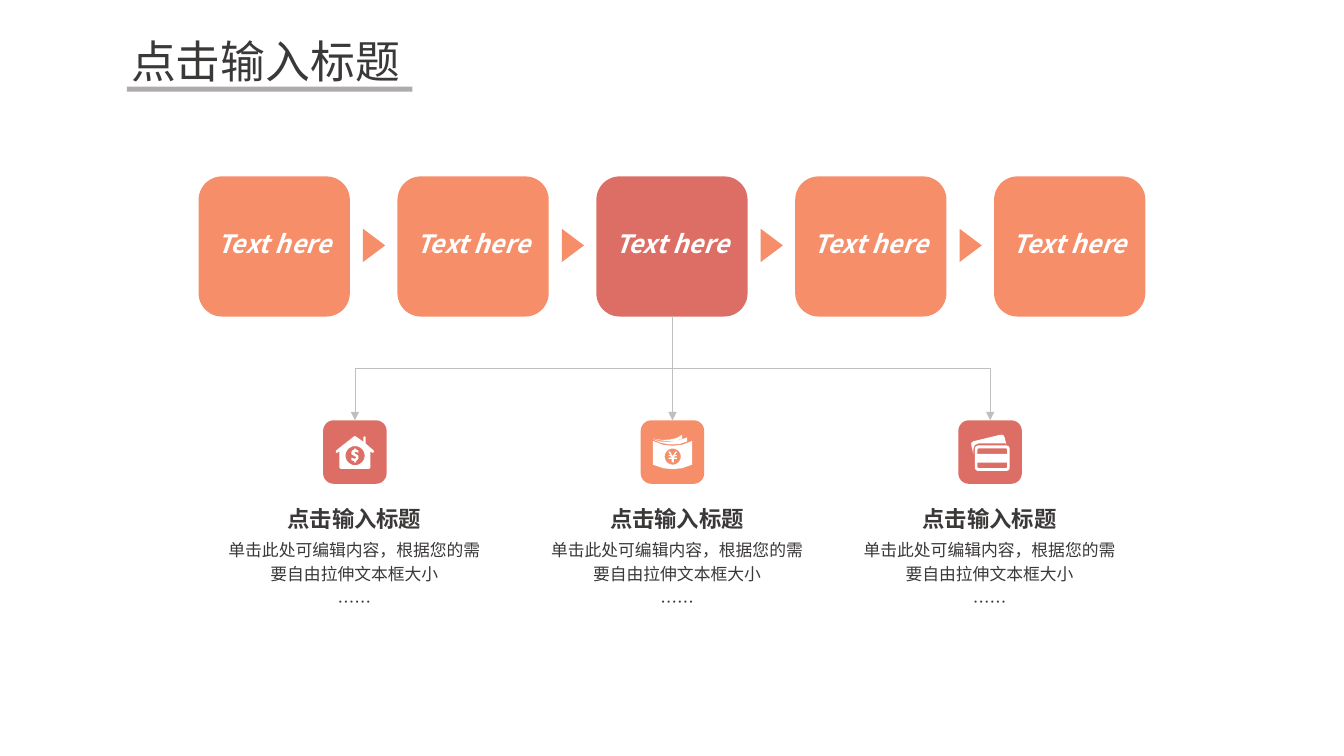
import math
import pptx
import pptx.dml.color
import pptx.enum.shapes
import pptx.enum.text
import pptx.oxml
import pptx.oxml.ns
import pptx.util

FONT = "Noto Sans CJK SC"
CORAL, RED, WHITE = "F68E69", "DD6E65", "FFFFFF"
INK, RULE, ROUTE = "3B3838", "AFABAB", "BFBFBF"
inch = pptx.util.Inches
preset = pptx.enum.shapes.MSO_SHAPE
connector_kind = pptx.enum.shapes.MSO_CONNECTOR
anchor = pptx.enum.text.MSO_ANCHOR
LEFT, CENTER = pptx.enum.text.PP_ALIGN.LEFT, pptx.enum.text.PP_ALIGN.CENTER


def paint(fill, colour):
    fill.solid()
    fill.fore_color.rgb = pptx.dml.color.RGBColor.from_string(colour)


def write(frame, text, size=12, colour=INK, bold=False, italic=False,
          align=CENTER, spacing=1.0, before=0):
    paragraph = frame.paragraphs[0] if not frame.text else frame.add_paragraph()
    paragraph.alignment = align
    paragraph.line_spacing = spacing
    paragraph.space_before = pptx.util.Pt(before)
    run = paragraph.add_run()
    run.text = text
    run.font.size = pptx.util.Pt(size)
    run.font.name = FONT
    run.font.bold, run.font.italic = bold, italic
    paint(run.font.fill, colour)
    east_asian = pptx.oxml.parse_xml(f'<a:ea {pptx.oxml.ns.nsdecls("a")} typeface="{FONT}"/>')
    run.font._element.find(pptx.oxml.ns.qn("a:latin")).addnext(east_asian)


deck = pptx.Presentation()
deck.slide_width, deck.slide_height = inch(13.33), inch(7.5)
slide = deck.slides.add_slide(deck.slide_layouts[5])
shapes = slide.shapes

# Heading and its underline
heading = shapes.title
heading.left, heading.top, heading.width, heading.height = map(inch, (1.2, 0.28, 3.09, 0.64))
heading.text_frame.word_wrap = True
heading.text_frame.auto_size = pptx.enum.text.MSO_AUTO_SIZE.NONE
heading.text_frame.vertical_anchor = anchor.TOP
write(heading.text_frame, "点击输入标题", size=32, align=LEFT)
underline = shapes.add_shape(preset.RECTANGLE, inch(1.26), inch(0.86), inch(2.83), inch(0.05))
paint(underline.fill, RULE)

# Row of five steps with a pointer in each gap
STEPS, STEP_LEFT, STEP_TOP, STEP_WIDTH, STEP_HEIGHT = 5, 1.97, 1.75, 1.5, 1.39
STEP_PITCH = (9.86 - STEP_LEFT) / (STEPS - 1)
for number in range(STEPS):
    left = STEP_LEFT + number * STEP_PITCH
    step = shapes.add_shape(preset.ROUNDED_RECTANGLE, inch(left), inch(STEP_TOP),
                            inch(STEP_WIDTH), inch(STEP_HEIGHT))
    paint(step.fill, RED if number == STEPS // 2 else CORAL)
    step.text_frame.vertical_anchor = anchor.MIDDLE
    write(step.text_frame, "Text here", size=18, colour=WHITE, bold=True, italic=True, spacing=0.8)
    if number < STEPS - 1:
        pointer = shapes.add_shape(preset.RIGHT_ARROW, inch(left + 1.63), inch(2.27),
                                   inch(0.22), inch(0.33))
        pointer.adjustments[0], pointer.adjustments[1] = 0.32, 2.75
        paint(pointer.fill, CORAL)

# Icon outlines, in thousandths of an inch from the tile's corner
house = [
    [(315, 155), (325, 160), (400, 212), (400, 165), (410, 158), (422, 165), (422, 230),
     (500, 298), (505, 310), (497, 322), (485, 320), (468, 306), (468, 470), (455, 482),
     (175, 482), (162, 470), (162, 306), (145, 320), (133, 322), (125, 310), (130, 298),
     (305, 160)],
    [(308, 280), (328, 280), (328, 291), (350, 298), (350, 322), (325, 312), (312, 318),
     (312, 328), (330, 336), (350, 352), (350, 380), (328, 402), (328, 418), (308, 418),
     (308, 404), (280, 395), (280, 370), (308, 380), (328, 375), (328, 364), (308, 352),
     (282, 338), (280, 315), (290, 298), (308, 291)],
]
banknotes = [
    [(120, 205), (220, 243), (315, 253), (410, 243), (510, 205), (510, 440), (410, 475),
     (315, 485), (220, 475), (120, 440)],
    [(120, 190), (200, 212), (290, 214), (380, 197), (460, 170), (460, 210), (380, 236),
     (290, 240), (200, 224)],
    [(120, 180), (200, 194), (280, 193), (350, 178), (410, 145), (410, 182), (350, 202),
     (280, 208), (200, 200)],
    [(270, 310), (290, 310), (317, 355), (345, 310), (362, 310), (337, 345), (357, 345),
     (357, 355), (333, 358), (328, 370), (357, 372), (357, 383), (328, 383), (328, 418),
     (306, 418), (306, 383), (277, 383), (277, 372), (306, 370), (300, 358), (277, 355),
     (277, 345), (297, 345)],
]
cards = [
    [(195, 250), (480, 250), (501, 259), (510, 280), (510, 475), (501, 494), (480, 503),
     (195, 503), (174, 494), (165, 475), (165, 280), (174, 259)],
    [(200, 278), (475, 278), (485, 288), (485, 333), (190, 333), (190, 288)],
    [(190, 420), (485, 420), (485, 465), (475, 475), (200, 475), (190, 465)],
    [(430, 143), (447, 148), (458, 165), (475, 235), (470, 230), (200, 230), (165, 245),
     (150, 285), (150, 335), (130, 255), (128, 225), (150, 208), (410, 145)],
]
for icon, (x, y, radius) in ((house, (317, 350, 95)), (banknotes, (317, 360, 80))):
    turns = [math.radians(angle) for angle in range(0, 360, 15)]
    icon.append([(x + radius * math.cos(t), y + radius * math.sin(t)) for t in turns])

# Three branches: route, tile, icon and description
TILE, TILE_TOP, BRANCH_PITCH = 0.63, 4.17, 3.15
HUB_X, HUB_BOTTOM = 6.67, STEP_TOP + STEP_HEIGHT
DROP = TILE_TOP - HUB_BOTTOM
branches = [(-1, RED, house, 2.24), (0, CORAL, banknotes, 5.44), (1, RED, cards, 8.54)]
for side, colour, icon, text_left in branches:
    tile_left = HUB_X + side * BRANCH_PITCH - TILE / 2
    if side:
        middle_x, middle_y = HUB_X + side * BRANCH_PITCH / 2, HUB_BOTTOM + DROP / 2
        half_x, half_y = side * DROP / 2, BRANCH_PITCH / 2
        route = shapes.add_connector(
            connector_kind.ELBOW, inch(middle_x + half_x), inch(middle_y - half_y),
            inch(middle_x - half_x), inch(middle_y + half_y))
        route._element.spPr.xfrm.rot = 90 if side < 0 else 270
    else:
        route = shapes.add_connector(connector_kind.STRAIGHT, inch(HUB_X), inch(HUB_BOTTOM),
                                     inch(HUB_X), inch(TILE_TOP))
    paint(route.line.fill, ROUTE)
    route.line.width = pptx.util.Pt(0.25)
    namespace = pptx.oxml.ns.nsdecls("a")
    route.line._get_or_add_ln().append(
        pptx.oxml.parse_xml(f'<a:tailEnd {namespace} type="triangle"/>'))
    route._element.spPr.append(pptx.oxml.parse_xml(f"<a:effectLst {namespace}/>"))

    tile = shapes.add_shape(preset.ROUNDED_RECTANGLE, inch(tile_left), inch(TILE_TOP),
                            inch(TILE), inch(TILE))
    paint(tile.fill, colour)

    outline = shapes.build_freeform(*icon[0][0], scale=inch(1) / 1000)
    for contour in icon:
        outline.move_to(*contour[0])
        outline.add_line_segments(contour[1:], close=True)
    paint(outline.convert_to_shape(inch(tile_left), inch(TILE_TOP)).fill, WHITE)

    description = shapes.add_textbox(inch(text_left), inch(4.96), inch(2.55), inch(1.13)).text_frame
    description.word_wrap = True
    description.margin_left = description.margin_right = 0
    description.margin_top = description.margin_bottom = 0
    write(description, "点击输入标题", size=16, bold=True, spacing=1.2, before=3.2)
    for line in ("单击此处可编辑内容，根据您的需要自由拉伸文本框大小", "……"):
        write(description, line, spacing=1.2, before=2.4)

# Flat look: no outlines or shadows on filled shapes
for shape in shapes:
    if shape.shape_type in (pptx.enum.shapes.MSO_SHAPE_TYPE.AUTO_SHAPE,
                            pptx.enum.shapes.MSO_SHAPE_TYPE.FREEFORM):
        shape.line.fill.background()
        shape.shadow.inherit = False

deck.save("out.pptx")
